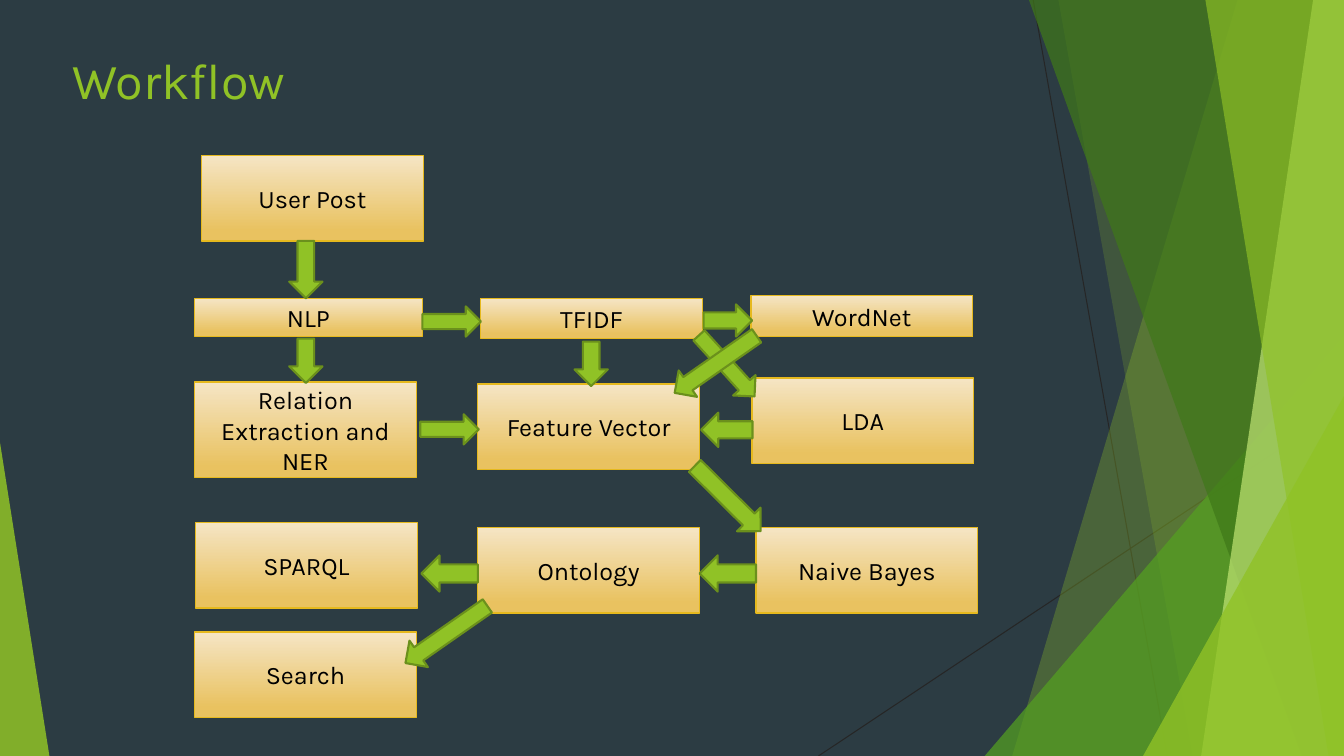
from dataclasses import dataclass

from lxml.etree import SubElement
from pptx import Presentation
from pptx.dml.color import RGBColor
from pptx.enum.shapes import MSO_CONNECTOR as Line, MSO_SHAPE as Preset
from pptx.enum.text import MSO_ANCHOR as Anchor, MSO_AUTO_SIZE as AutoSize, PP_ALIGN as Align
from pptx.oxml.ns import qn
from pptx.slide import Slide
from pptx.util import Pt

BACKGROUND = RGBColor(0x2C, 0x3C, 0x43)
LIME = RGBColor(0x90, 0xC2, 0x26)
GREEN = RGBColor(0x54, 0xA0, 0x21)
FOREST = RGBColor(0x3F, 0x78, 0x19)
PALE = RGBColor(0xC0, 0xE4, 0x74)
OLIVE = RGBColor(0x6B, 0x90, 0x1C)
CREAM = RGBColor(0xF5, 0xE5, 0xC5)
SAND = RGBColor(0xE9, 0xC2, 0x60)
GOLD = RGBColor(0xE6, 0xB9, 0x1E)
CHARCOAL = RGBColor(0x26, 0x26, 0x26)
BLACK = RGBColor(0, 0, 0)

WIDTH, HEIGHT = 960, 540
STEP_WIDTH, STEP_HEIGHT = 158.4, 61.2


def write(frame, text, font="Karla", size=18, color=BLACK, align=Align.CENTER, anchor=Anchor.MIDDLE):
    frame.word_wrap = True
    frame.auto_size = AutoSize.NONE
    frame.vertical_anchor = anchor
    paragraph = frame.paragraphs[0]
    paragraph.alignment = align
    run = paragraph.add_run()
    run.text = text
    run.font.name = font
    run.font.size = Pt(size)
    run.font.color.rgb = color


@dataclass
class Workflow:
    slide: Slide
    step_line: float = 1
    arrow_line: float = 1.5
    ray_line: float = 0.75

    def title(self, text, left, top, width, height):
        heading = self.slide.shapes.title
        heading.left, heading.top = Pt(left), Pt(top)
        heading.width, heading.height = Pt(width), Pt(height)
        write(heading.text_frame, text, size=36, color=LIME, align=Align.LEFT, anchor=Anchor.TOP)

    def preset(self, kind, left, top, width, height):
        shape = self.slide.shapes.add_shape(kind, Pt(left), Pt(top), Pt(width), Pt(height))
        shape.shadow.inherit = False
        return shape

    def outline(self, shape, color, width):
        shape.line.color.rgb = color
        shape.line.width = Pt(width)

    def tint(self, shape, color, opacity):
        shape.shadow.inherit = False
        shape.fill.solid()
        shape.fill.fore_color.rgb = color
        shape.line.fill.background()
        shade = shape.element.spPr.find(qn("a:solidFill")).find(qn("a:srgbClr"))
        SubElement(shade, qn("a:alpha")).set("val", str(opacity * 1000))

    def ray(self, x1, y1, x2, y2):
        ray = self.slide.shapes.add_connector(Line.STRAIGHT, Pt(x1), Pt(y1), Pt(x2), Pt(y2))
        self.outline(ray, CHARCOAL, self.ray_line)
        SubElement(ray.element.spPr, qn("a:effectLst"))

    def band(self, top_x, bottom_x, color, opacity):
        builder = self.slide.shapes.build_freeform(top_x, 0, scale=Pt(1))
        builder.add_line_segments([(WIDTH, 0), (WIDTH, HEIGHT), (bottom_x, HEIGHT)], close=True)
        self.tint(builder.convert_to_shape(), color, opacity)

    def corner(self, left, top, width, peak, color, opacity):
        corner = self.preset(Preset.ISOSCELES_TRIANGLE, left, top, width, HEIGHT - top)
        corner.adjustments[0] = peak
        self.tint(corner, color, opacity)

    def step(self, text, left, top, width=STEP_WIDTH, height=STEP_HEIGHT):
        step = self.preset(Preset.RECTANGLE, left, top, width, height)
        step.fill.gradient()
        step.fill.gradient_angle = 270
        for stop, position, color in zip(step.fill.gradient_stops, (0, 0.88), (CREAM, SAND)):
            stop.position = position
            stop.color.rgb = color
        self.outline(step, GOLD, self.step_line)
        write(step.text_frame, text)

    def arrow(self, kind, left, top, width, height, rotation=0):
        arrow = self.preset(kind, left, top, width, height)
        arrow.rotation = rotation
        arrow.fill.solid()
        arrow.fill.fore_color.rgb = LIME
        self.outline(arrow, OLIVE, self.arrow_line)


STEPS = [
    ("User Post", 144, 110.9),
    ("NLP", 139, 213.1, 162.7, 27.4),
    ("TFIDF", 343.4, 213.1, STEP_WIDTH, 28.8),
    ("WordNet", 536.4, 211, STEP_WIDTH, 29.5),
    ("Relation Extraction and NER", 139, 272.9, STEP_WIDTH, 68.4),
    ("Feature Vector", 341.3, 274.3),
    ("LDA", 537.1, 270),
    ("SPARQL", 139.7, 373),
    ("Ontology", 341.3, 376.6),
    ("Naive Bayes", 540, 376.6),
    ("Search", 139, 451.4),
]

ARROWS = {
    Preset.RIGHT_ARROW: [
        (301.7, 218.9, 41.8, 21.6),
        (502.6, 217.4, 34.6, 23),
        (300.2, 295.9, 41.8, 21.6),
        (486.7, 344.2, 66.2, 23.8, 44.8),
        (489.6, 250.6, 59, 21.6, 47.7),
    ],
    Preset.DOWN_ARROW: [
        (206.6, 172.1, 23.8, 41),
        (206.6, 241.9, 23.8, 31.7),
        (410.4, 244.1, 23.8, 31.7),
        (506.9, 288.7, 24.5, 36.7, 90),
        (506.9, 389.5, 25.9, 40.3, 90),
        (308.2, 389.5, 25.9, 40.3, 90),
        (307.4, 417.6, 23, 71.3, 55.1),
        (499.7, 224.6, 23, 71.3, 55.1),
    ],
}


def main():
    deck = Presentation()
    deck.slide_width, deck.slide_height = Pt(WIDTH), Pt(HEIGHT)
    slide = deck.slides.add_slide(deck.slide_layouts[5])
    slide.background.fill.solid()
    slide.background.fill.fore_color.rgb = BACKGROUND

    flow = Workflow(slide)
    flow.ray(738, 0, 833.8, HEIGHT)
    flow.ray(WIDTH, 290.2, 584.6, HEIGHT)
    flow.band(884.2, 722.9, LIME, 30)
    flow.band(756, 851.8, LIME, 20)
    flow.corner(703.4, 239.8, 256.6, 1, GREEN, 72)
    flow.band(735.1, 929.5, FOREST, 70)
    flow.band(938.2, 858.2, PALE, 70)
    flow.band(861.1, 949, LIME, 65)
    flow.corner(816.5, 283, 143.5, 1, LIME, 80)
    flow.corner(0, 316.1, 35.3, 0, LIME, 85)

    flow.title("Workflow", 44.6, 31.7, 676.8, 105.8)
    for step in STEPS:
        flow.step(*step)
    for kind, places in ARROWS.items():
        for place in places:
            flow.arrow(kind, *place)

    deck.save("out.pptx")


if __name__ == "__main__":
    main()
